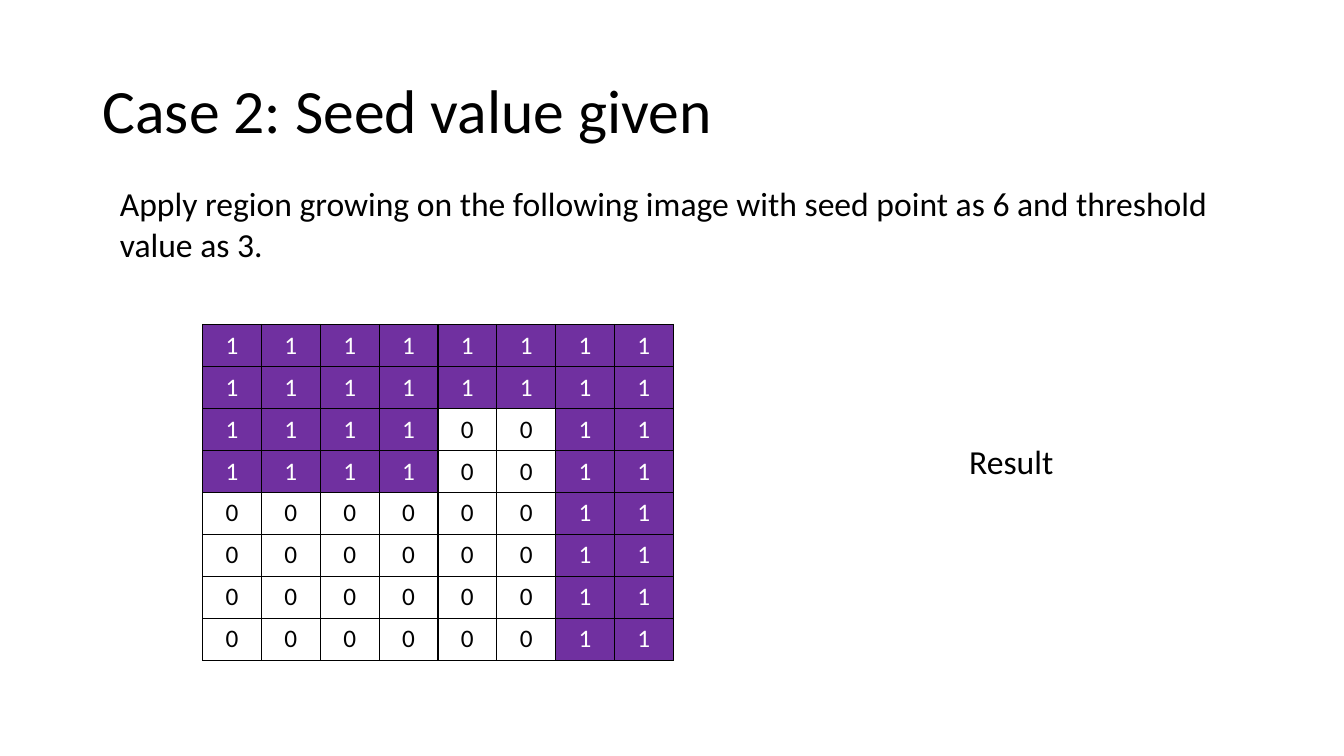
import pptx
import pptx.dml.color
import pptx.enum.text
import pptx.oxml
import pptx.oxml.ns
import pptx.util

Inches = pptx.util.Inches
Pt = pptx.util.Pt
ALIGN = pptx.enum.text.PP_ALIGN
ANCHOR = pptx.enum.text.MSO_ANCHOR

FONT = "Calibri"
COLORS = {"text": "000000", "border": "000000", "region": "7030A0",
          "region_text": "FFFFFF", "background": "FFFFFF"}
REGION_ROWS = ["11111111"] * 2 + ["11110011"] * 2 + ["00000011"] * 4


def rgb(name):
    return pptx.dml.color.RGBColor.from_string(COLORS[name])


def style_paragraph(paragraph, size, color, alignment):
    paragraph.alignment = alignment
    for run in paragraph.runs:
        run.font.name = FONT
        run.font.size = Pt(size)
        run.font.color.rgb = rgb(color)


def add_text(slide, box, text, size, alignment=ALIGN.LEFT, anchor=ANCHOR.TOP):
    shape = slide.shapes.add_textbox(*map(Inches, box))
    text_frame = shape.text_frame
    text_frame.word_wrap = True
    text_frame.vertical_anchor = anchor
    text_frame.text = text
    paragraph = text_frame.paragraphs[0]
    style_paragraph(paragraph, size, "text", alignment)
    return paragraph


def add_borders(cell):
    properties = cell._tc.get_or_add_tcPr()
    for side in ("lnL", "lnR", "lnT", "lnB"):
        properties.append(pptx.oxml.parse_xml(
            f'<a:{side} {pptx.oxml.ns.nsdecls("a")} w="{Pt(1)}"><a:solidFill>'
            f'<a:srgbClr val="{COLORS["border"]}"/></a:solidFill></a:{side}>'))


def add_region_grid(slide, box, rows):
    left, top, width, height = map(Inches, box)
    table = slide.shapes.add_table(
        len(rows), len(rows[0]), left, top, width, height).table
    table.first_row = False
    table.horz_banding = False
    for row_index, values in enumerate(rows):
        for column_index, value in enumerate(values):
            cell = table.cell(row_index, column_index)
            in_region = value == "1"
            cell.text_frame.text = value
            cell.vertical_anchor = ANCHOR.MIDDLE
            style_paragraph(cell.text_frame.paragraphs[0], 18,
                            "region_text" if in_region else "text", ALIGN.CENTER)
            add_borders(cell)
            cell.fill.solid()
            cell.fill.fore_color.rgb = rgb("region" if in_region else "background")


def main():
    presentation = pptx.Presentation()
    presentation.slide_width = Inches(13.33)
    presentation.slide_height = Inches(7.5)
    slide = presentation.slides.add_slide(presentation.slide_layouts[6])

    title = add_text(slide, (0.92, 0.4, 11.5, 1.45), "Case 2: Seed value given",
                     44, anchor=ANCHOR.MIDDLE)
    title.line_spacing = 0.9
    add_text(slide, (1.09, 1.77, 11.38, 0.91),
             "Apply region growing on the following image with seed point as 6 "
             "and threshold value as 3.", 24)
    add_region_grid(slide, (2.01, 3.22, 4.67, 3.33), REGION_ROWS)
    add_text(slide, (8.79, 4.33, 2.48, 0.5), "Result", 24, ALIGN.CENTER)

    presentation.save("out.pptx")


if __name__ == "__main__":
    main()
